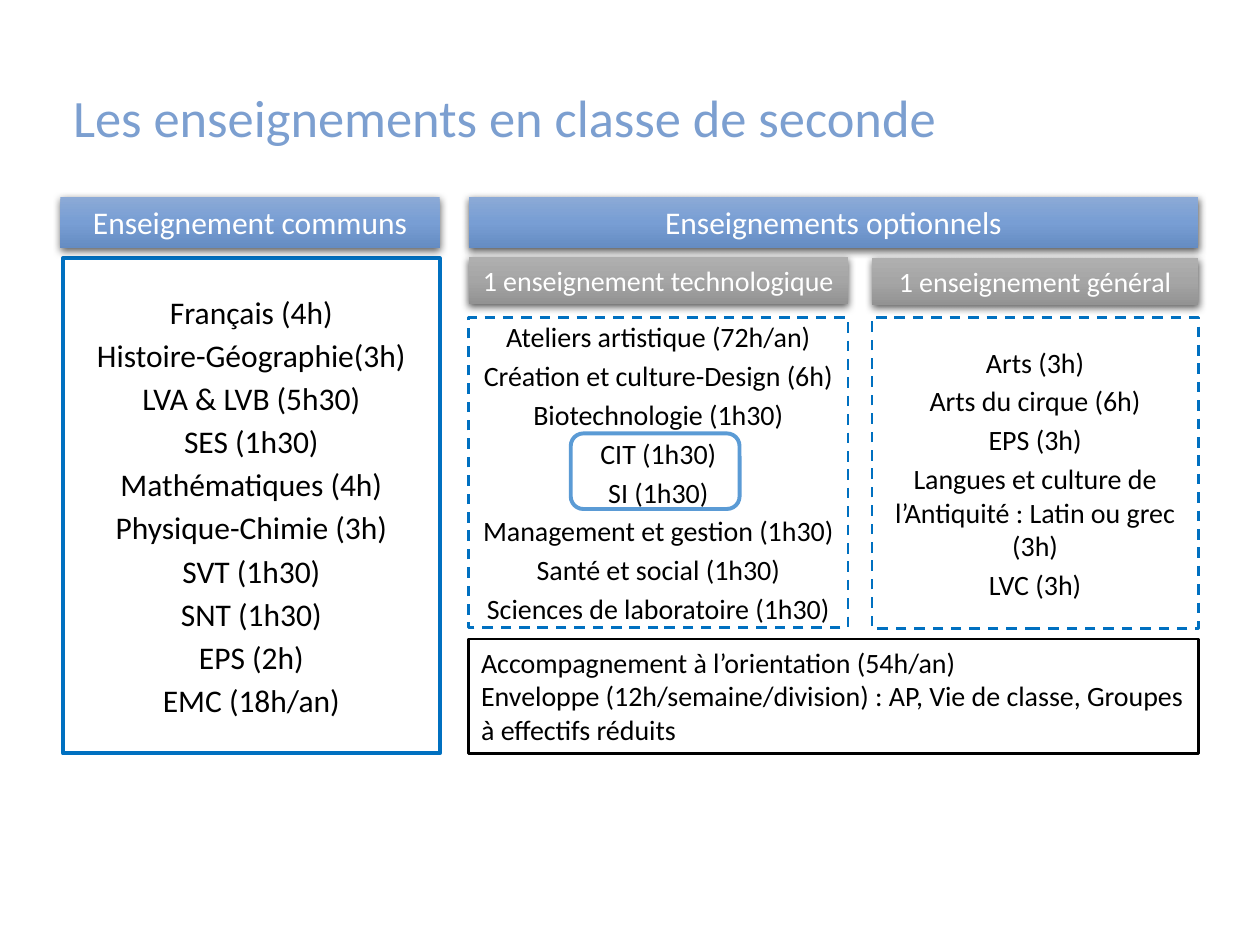
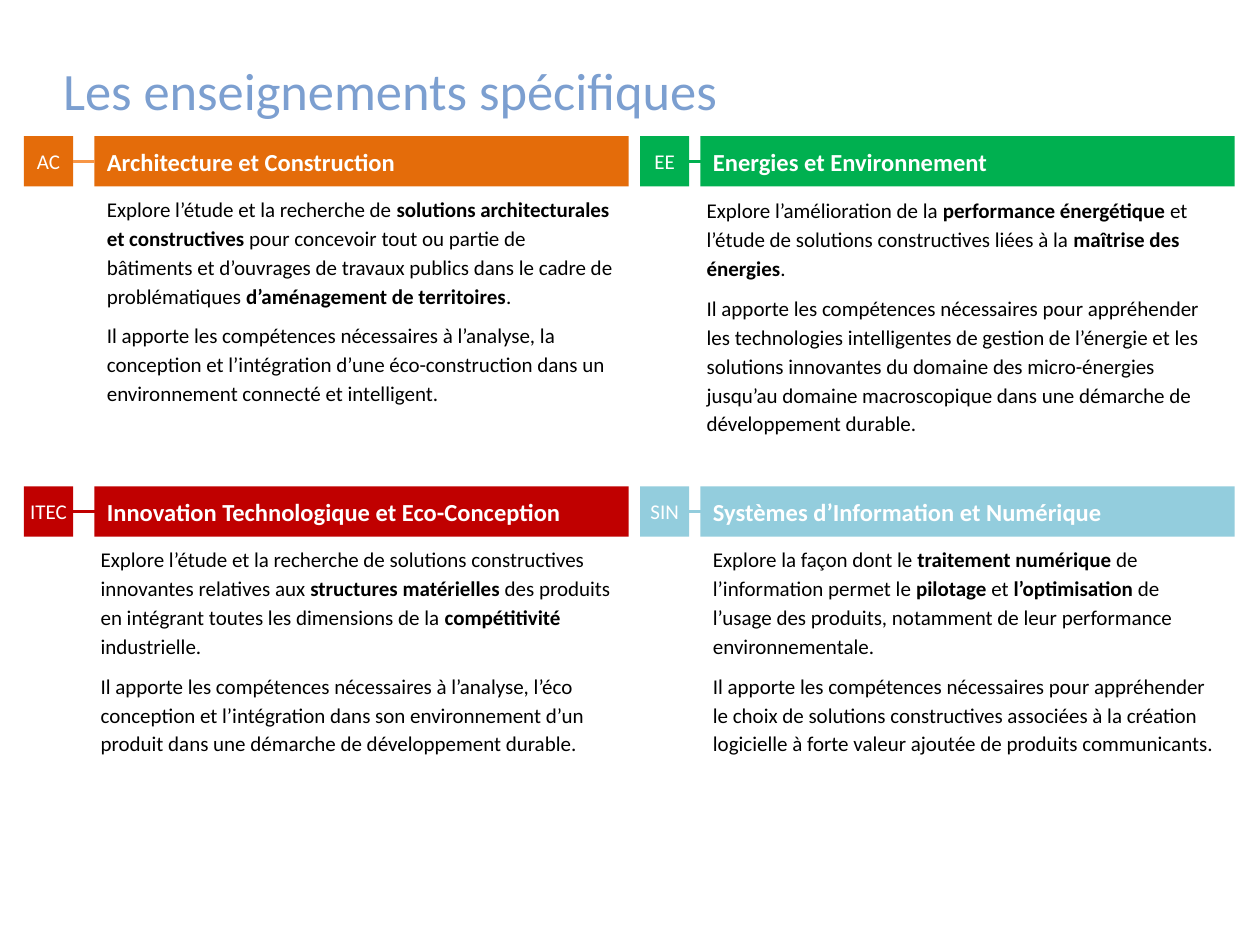
from copy import deepcopy

from lxml import etree
from pptx import Presentation
from pptx import util as u
from pptx.dml.color import RGBColor
from pptx.enum import dml, shapes, text
from pptx.oxml.ns import qn

FONT = "Calibri"
BLACK = RGBColor(0x00, 0x00, 0x00)
WHITE = RGBColor(0xFF, 0xFF, 0xFF)
TITLE_BLUE = RGBColor(0x7C, 0x9F, 0xD0)
FRAME_BLUE = RGBColor(0x00, 0x70, 0xC0)
MARK_BLUE = RGBColor(0x5B, 0x9B, 0xD5)
ORANGE = RGBColor(0xE4, 0x6C, 0x0A)
LIGHT_ORANGE = RGBColor(0xF7, 0x96, 0x46)
GREEN = RGBColor(0x00, 0xB0, 0x50)
RED = RGBColor(0xC0, 0x00, 0x00)
AQUA = RGBColor(0x93, 0xCD, 0xDD)
BLUE_BAND = [RGBColor(0x8C, 0xAA, 0xD6), RGBColor(0x78, 0x9E, 0xD4), RGBColor(0x65, 0x8C, 0xC2)]
GREY_BAND = [RGBColor(0xAF, 0xAF, 0xAF), RGBColor(0xA5, 0xA5, 0xA5), RGBColor(0x93, 0x93, 0x93)]

LEFT, CENTER = text.PP_ALIGN.LEFT, text.PP_ALIGN.CENTER
TOP, MIDDLE = text.MSO_ANCHOR.TOP, text.MSO_ANCHOR.MIDDLE

COMMON = [
    "Français (4h)", "Histoire-Géographie(3h)", "LVA & LVB (5h30)", "SES (1h30)",
    "Mathématiques (4h)", "Physique-Chimie (3h)", "SVT (1h30)", "SNT (1h30)",
    "EPS (2h)", "EMC (18h/an)",
]
TECHNOLOGICAL = [
    "Ateliers artistique (72h/an)", "Création et culture-Design (6h)",
    "Biotechnologie (1h30)", "CIT (1h30)", "SI (1h30)",
    "Management et gestion (1h30)", "Santé et social (1h30)",
    "Sciences de laboratoire (1h30)",
]
GENERAL = [
    "Arts (3h)", "Arts du cirque (6h)", "EPS (3h)",
    "Langues et culture de l’Antiquité : Latin ou grec (3h)", "LVC (3h)",
]
SUPPORT = [
    "Accompagnement à l’orientation (54h/an)",
    "Enveloppe (12h/semaine/division) : AP, Vie de classe, Groupes à effectifs réduits",
]

BOLD_MARK = "**"
SPECIALITIES = [
    ("AC", "Architecture et Construction", ORANGE, LIGHT_ORANGE, (0.75, 1.48, 4.24, 1.87), [
        "Explore l’étude et la recherche de **solutions architecturales et constructives **"
        "pour concevoir tout ou partie de bâtiments et d’ouvrages de travaux publics dans "
        "le cadre de problématiques **d’aménagement de territoires**.",
        "Il apporte les compétences nécessaires à l’analyse, la conception et l’intégration "
        "d’une éco-construction dans un environnement connecté et intelligent.",
    ]),
    ("EE", "Energies et Environnement", GREEN, GREEN, (5.51, 1.49, 4.28, 2.1), [
        "Explore l’amélioration de la **performance énergétique **et l’étude de solutions "
        "constructives liées à la **maîtrise des énergies**.",
        "Il apporte les compétences nécessaires pour appréhender les technologies "
        "intelligentes de gestion de l’énergie et les solutions innovantes du domaine des "
        "micro-énergies jusqu’au domaine macroscopique dans une démarche de développement "
        "durable.",
    ]),
    ("ITEC", "Innovation Technologique et Eco-Conception", RED, RED, (0.7, 4.26, 4.28, 1.87), [
        "Explore l’étude et la recherche de solutions constructives innovantes relatives aux "
        "**structures matérielles **des produits en intégrant toutes les dimensions de la "
        "**compétitivité** industrielle.",
        "Il apporte les compétences nécessaires à l’analyse, l’éco conception et "
        "l’intégration dans son environnement d’un produit dans une démarche de "
        "développement durable.",
    ]),
    ("SIN", "Systèmes d’Information et Numérique", AQUA, AQUA, (5.56, 4.26, 4.24, 1.87), [
        "Explore la façon dont le **traitement numérique **de l’information permet le "
        "**pilotage** et **l’optimisation** de l’usage des produits, notamment de leur "
        "performance environnementale.",
        "Il apporte les compétences nécessaires pour appréhender le choix de solutions "
        "constructives associées à la création logicielle à forte valeur ajoutée de "
        "produits communicants.",
    ]),
]


class Deck:
    def __init__(self):
        self.prs = Presentation()
        self.prs.slide_width, self.prs.slide_height = u.Inches(10), u.Inches(7.5)
        self.s = None

    def slide(self, title, at):
        self.s = self.prs.slides.add_slide(self.prs.slide_layouts[5])
        sp = self.s.shapes.title
        sp.left, sp.top, sp.width, sp.height = map(u.Inches, at)
        self.add_text(sp, [title], 30, TITLE_BLUE, LEFT, spacing=0.9)

    def add_text(self, sp, lines, size, color, align, anchor=MIDDLE, bold=False,
                 after=(), spacing=None, grow=False):
        tf = sp.text_frame
        tf.word_wrap = True
        tf.vertical_anchor = anchor
        auto = text.MSO_AUTO_SIZE
        tf.auto_size = auto.SHAPE_TO_FIT_TEXT if grow else auto.NONE
        for i, line in enumerate(lines):
            p = tf.add_paragraph() if i else tf.paragraphs[0]
            p.alignment = align
            p.line_spacing = spacing
            if after:
                p.space_after = u.Pt(after[i])
            for n, part in enumerate(line.split(BOLD_MARK)):
                r = p.add_run()
                r.text = part
                r.font.name, r.font.size = FONT, u.Pt(size)
                r.font.bold = bold or n % 2 == 1
                r.font.color.rgb = color

    def box(self, at, fill=None, line=None, width=1.5, dash=False,
            kind=shapes.MSO_SHAPE.RECTANGLE):
        sp = self.s.shapes.add_shape(kind, *map(u.Inches, at))
        sp.shadow.inherit = False
        if fill is None:
            sp.fill.background()
        else:
            sp.fill.solid()
            sp.fill.fore_color.rgb = fill
        if line is None:
            sp.line.fill.background()
        else:
            sp.line.color.rgb = line
            sp.line.width = u.Pt(width)
            if dash:
                sp.line.dash_style = dml.MSO_LINE.DASH
        return sp

    def course_list(self, at, courses, size, width=1.5, dash=True):
        sp = self.box(at, line=FRAME_BLUE, width=width, dash=dash)
        self.add_text(sp, courses, size, BLACK, CENTER, after=[3] * len(courses))

    def header(self, at, label, colors, size):
        sp = self.box(at)
        sp.fill.gradient()
        sp.fill.gradient_angle = 270
        spPr = sp._element.spPr
        gs = spPr.find(".//" + qn("a:gs"))
        gs.addnext(deepcopy(gs))
        for stop, position, color in zip(sp.fill.gradient_stops, (0, 0.5, 1), colors):
            stop.position, stop.color.rgb = position, color
        shadow = etree.SubElement(
            spPr.find(qn("a:effectLst")), qn("a:outerShdw"), blurRad=str(u.Pt(4.5)),
            dist=str(u.Pt(1.5)), dir="5400000", algn="ctr", rotWithShape="0")
        black = etree.SubElement(shadow, qn("a:srgbClr"), val="000000")
        etree.SubElement(black, qn("a:alpha"), val="63000")
        self.add_text(sp, [label], size, WHITE, CENTER, TOP, grow=True)

    def label(self, at, label, fill, size, align, bold=False):
        sp = self.box(at, fill=fill)
        if align == CENTER:
            tf = sp.text_frame
            tf.margin_left = tf.margin_right = tf.margin_top = tf.margin_bottom = 0
        self.add_text(sp, [label], size, WHITE, align, bold=bold)
        return sp

    def link(self, band, tag, color):
        c = self.s.shapes.add_connector(shapes.MSO_CONNECTOR.STRAIGHT, 0, 0, 0, 0)
        c.begin_connect(band, 1)
        c.end_connect(tag, 3)
        c.line.color.rgb, c.line.width = color, u.Pt(2)
        etree.SubElement(c._element.spPr, qn("a:effectLst"))

    def body(self, at, lines):
        sp = self.s.shapes.add_textbox(*map(u.Inches, at))
        self.add_text(sp, lines, 12, BLACK, LEFT, TOP, after=(6, 10), spacing=1.15, grow=True)


def common_and_optional(deck):
    deck.slide("Les enseignements en classe de seconde", (0.48, 0.48, 9.03, 0.96))
    deck.course_list((0.5, 2.05, 2.99, 3.93), COMMON, 18, width=2.25, dash=False)
    deck.course_list((3.72, 2.52, 3.01, 2.46), TECHNOLOGICAL, 16)
    deck.course_list((6.92, 2.52, 2.59, 2.47), GENERAL, 16)
    deck.header((0.48, 1.56, 3.01, 0.41), "Enseignement communs", BLUE_BAND, 18)
    deck.header((3.72, 1.56, 5.79, 0.41), "Enseignements optionnels", BLUE_BAND, 18)
    deck.header((3.72, 2.04, 3.01, 0.37), "1 enseignement technologique", GREY_BAND, 16)
    deck.header((6.92, 2.05, 2.59, 0.37), "1 enseignement général", GREY_BAND, 16)
    support = deck.box((3.72, 5.07, 5.79, 0.91), fill=WHITE, line=BLACK)
    deck.add_text(support, SUPPORT, 16, BLACK, LEFT, TOP, grow=True)
    deck.box((4.53, 3.44, 1.34, 0.6), line=MARK_BLUE, width=2.25,
             kind=shapes.MSO_SHAPE.ROUNDED_RECTANGLE)


def specialities(deck):
    deck.slide("Les enseignements spécifiques", (0.4, 0.38, 9.03, 0.72))
    for i, (code, name, color, link_color, body_at, lines) in enumerate(SPECIALITIES):
        row, col = divmod(i, 2)
        top = 1.08 + 2.78 * row
        band = deck.label((0.75 + 4.81 * col, top, 4.24, 0.4), name, color, 14, LEFT, bold=True)
        tag = deck.label((0.19 + 4.89 * col, top, 0.39, 0.4), code, color, 12, CENTER)
        deck.link(band, tag, link_color)
        deck.body(body_at, lines)


def main():
    deck = Deck()
    common_and_optional(deck)
    specialities(deck)
    deck.prs.save("out.pptx")


if __name__ == "__main__":
    main()
